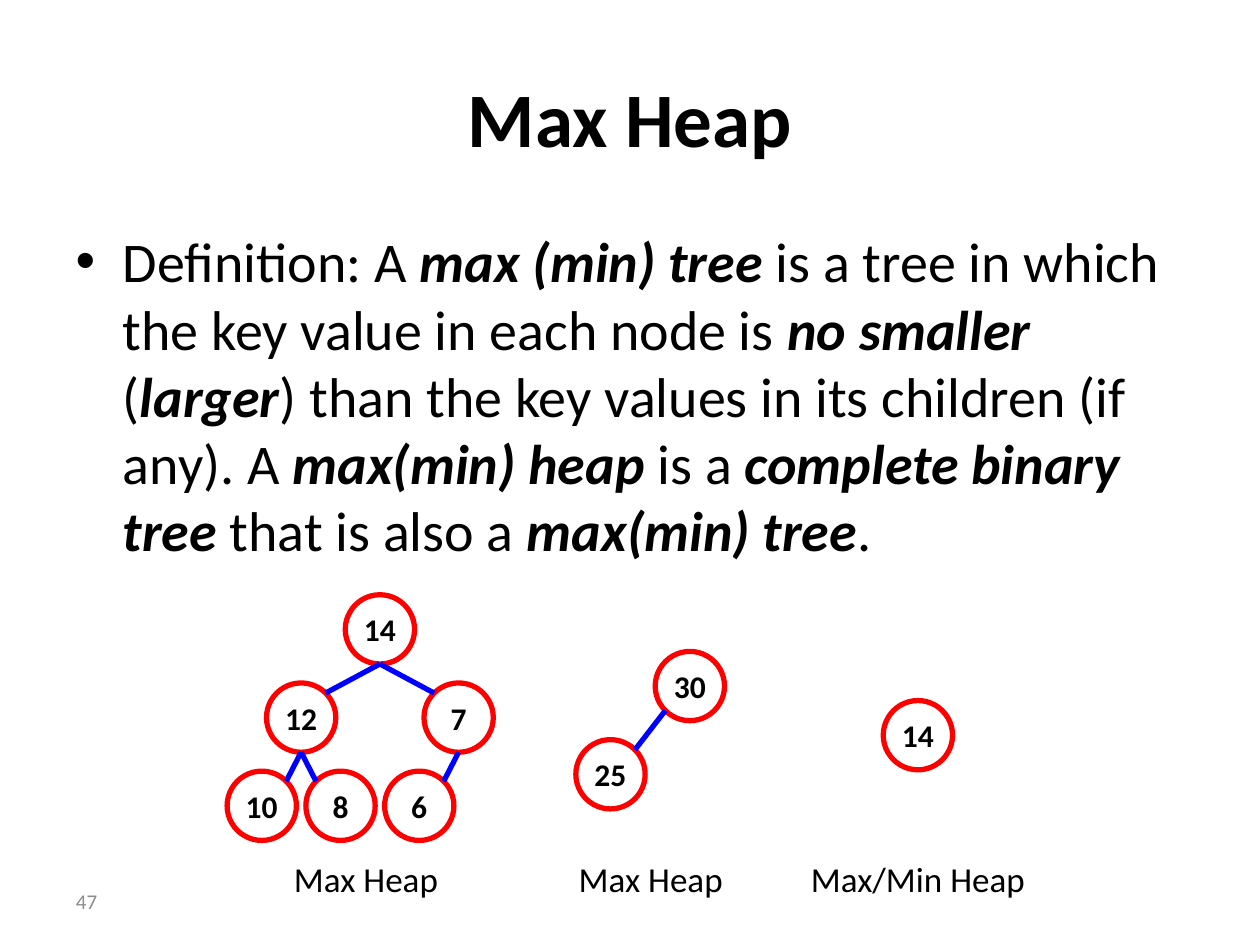
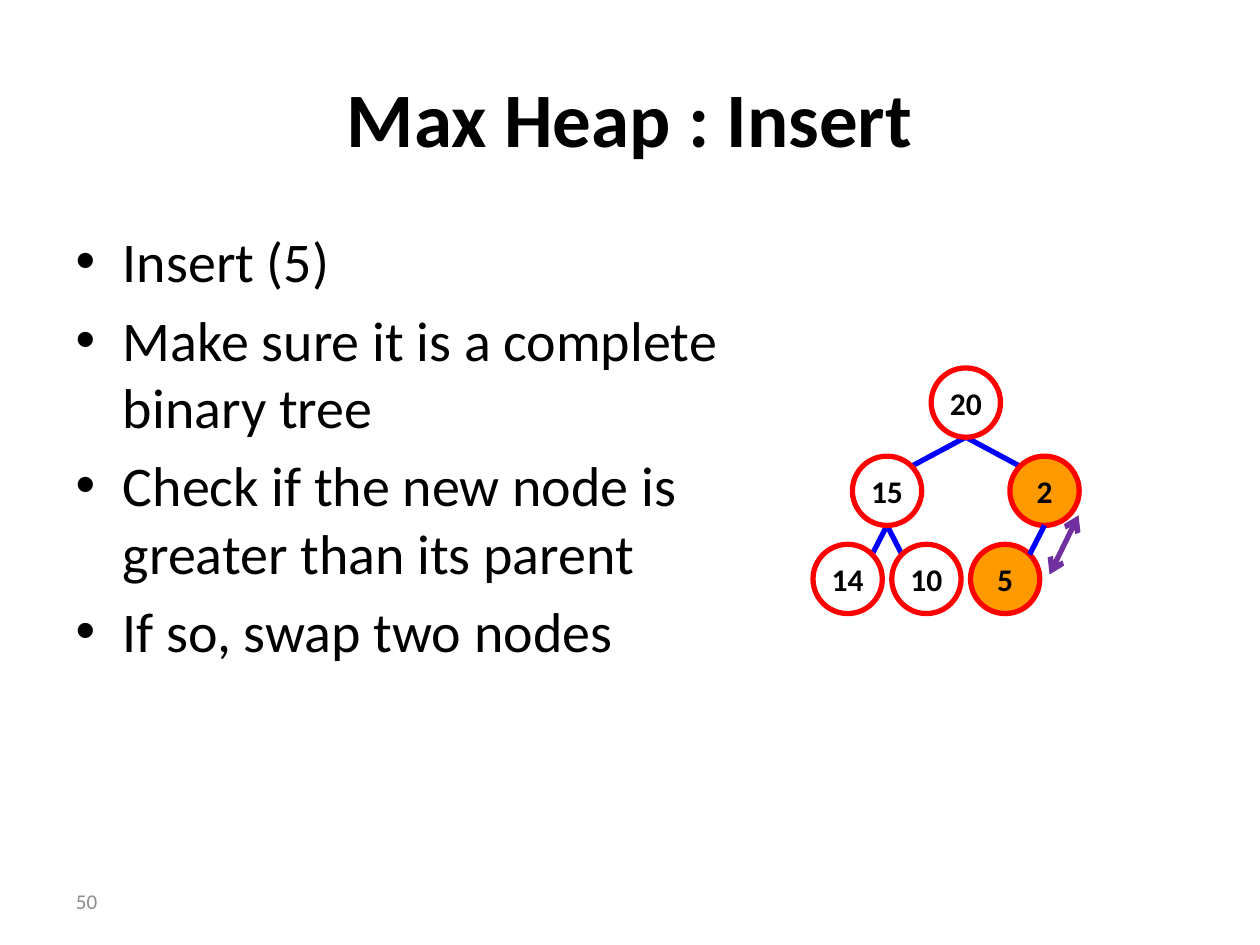
from lxml import etree
from pptx import Presentation, util as u
from pptx.dml.color import RGBColor
from pptx.enum import shapes, text
from pptx.oxml import ns

SCALE = 9144
FONT = "Calibri"
COLORS = {
    "text": "000000",
    "number": "8C8C8C",
    "ring": "FF0000",
    "edge": "0000FF",
    "highlight": "FF9900",
    "swap": "7030A0",
}
NODE_SIZE = 55
LEVEL_HEIGHT = 70
DIAGONAL = 0.707
TREE_SLOTS = [(0, 0), (-2, 1), (2, 1), (-3, 2), (-1, 2), (1, 2)]
TREE_EDGES = [(0, 1), (0, 2), (1, 3), (1, 4), (2, 5)]


def px(length):
    return u.Emu(round(length * SCALE))


def color(name):
    return RGBColor.from_string(COLORS[name])


def format_font(font, size, bold=False, italic=False, fill="text"):
    font.name = FONT
    font.size = u.Pt(size)
    font.bold = bold
    font.italic = italic
    font.color.rgb = color(fill)


def place(shape, left, top, width, height):
    shape.left, shape.top = px(left), px(top)
    shape.width, shape.height = px(width), px(height)


def add_label(slide, words, box, size, align, fill="text"):
    label = slide.shapes.add_textbox(*map(px, box))
    frame = label.text_frame
    frame.text = words
    frame.word_wrap = True
    frame.vertical_anchor = text.MSO_ANCHOR.MIDDLE
    paragraph = frame.paragraphs[0]
    paragraph.alignment = align
    format_font(paragraph.runs[0].font, size, fill=fill)


def add_slide(presentation, title, body_width, paragraphs, number):
    slide = presentation.slides.add_slide(presentation.slide_layouts[1])
    heading, body = slide.placeholders
    place(heading, 50, 30, 900, 125)
    heading.text_frame.text = title
    heading.text_frame.vertical_anchor = text.MSO_ANCHOR.MIDDLE
    format_font(heading.text_frame.paragraphs[0].runs[0].font, 44, bold=True)
    place(body, 50, 175, body_width, 495)
    fill_body(body.text_frame, paragraphs)
    add_label(slide, number, (10, 695, 77, 40), 12, text.PP_ALIGN.RIGHT, "number")
    return slide


def fill_body(frame, paragraphs):
    frame.auto_size = text.MSO_AUTO_SIZE.NONE
    for index, pieces in enumerate(paragraphs):
        paragraph = frame.add_paragraph() if index else frame.paragraphs[0]
        if index == 0:
            paragraph.space_before = u.Pt(0)
        for position, piece in enumerate(pieces):
            emphasised = position % 2 == 1
            run = paragraph.add_run()
            run.text = piece
            format_font(run.font, 32, emphasised, emphasised)


def add_node(slide, key, left, top, highlighted=False):
    box = map(px, (left, top, NODE_SIZE, NODE_SIZE))
    node = slide.shapes.add_shape(shapes.MSO_SHAPE.OVAL, *box)
    node.shadow.inherit = False
    if highlighted:
        node.fill.solid()
        node.fill.fore_color.rgb = color("highlight")
    else:
        node.fill.background()
    node.line.color.rgb = color("ring")
    node.line.width = u.Pt(3)
    frame = node.text_frame
    frame.text = key
    frame.word_wrap = False
    frame.margin_left = frame.margin_right = frame.margin_top = frame.margin_bottom = 0
    frame.vertical_anchor = text.MSO_ANCHOR.MIDDLE
    paragraph = frame.paragraphs[0]
    paragraph.alignment = text.PP_ALIGN.CENTER
    format_font(paragraph.runs[0].font, 18, bold=True)


def add_line(slide, start, end, fill="edge", arrows=False):
    ends = map(px, (*start, *end))
    line = slide.shapes.add_connector(shapes.MSO_CONNECTOR.STRAIGHT, *ends)
    line.line.color.rgb = color(fill)
    line.line.width = u.Pt(3)
    properties = line.element.spPr
    if arrows:
        outline = properties.find(ns.qn("a:ln"))
        for tag in ("a:headEnd", "a:tailEnd"):
            etree.SubElement(outline, ns.qn(tag), type="arrow")
    etree.SubElement(properties, ns.qn("a:effectLst"))


def rim_point(corner, horizontal, vertical):
    radius = NODE_SIZE / 2
    return (corner[0] + radius * (1 + horizontal), corner[1] + radius * (1 + vertical))


def tree_corners(root_left, root_top):
    return [(root_left + 125 * column / 4, root_top + LEVEL_HEIGHT * level)
            for column, level in TREE_SLOTS]


def add_tree_nodes(slide, corners, keys, highlighted=()):
    for key, corner in zip(keys, corners):
        add_node(slide, key, *corner, key in highlighted)


def add_tree_edges(slide, corners, edges):
    for parent, child in edges:
        side = DIAGONAL if corners[child][0] < corners[parent][0] else -DIAGONAL
        add_line(slide, rim_point(corners[child], side, -DIAGONAL),
                 rim_point(corners[parent], 0, 1))


def build_definition(presentation):
    definition = [
        "Definition: A ", "max (min) tree",
        " is a tree in which the key value in each node is ", "no smaller",
        " (", "larger", ") than the key values in its children (if any). A ",
        "max(min) heap ", "is a ", "complete binary tree ",
        "that is also a ", "max(min) tree", ".",
    ]
    slide = add_slide(presentation, "Max Heap", 900, [definition], "47")

    corners = tree_corners(274, 472)
    add_tree_nodes(slide, corners, ["14", "12", "7", "10", "8", "6"])
    add_tree_edges(slide, corners, TREE_EDGES)

    parent, child = (520, 517), (457, 587)
    add_node(slide, "30", *parent)
    add_node(slide, "25", *child)
    add_line(slide, rim_point(child, DIAGONAL, -DIAGONAL),
             rim_point(parent, -DIAGONAL, DIAGONAL))

    add_node(slide, "14", 701, 556)

    captions = [("Max Heap", 220, 141), ("Max Heap", 446, 141), ("Max/Min Heap", 626, 205)]
    for words, left, width in captions:
        add_label(slide, words, (left, 665, width, 64), 20, text.PP_ALIGN.CENTER)


def build_insert(presentation):
    steps = [
        ["Insert (5)"],
        ["Make sure it is a complete binary tree"],
        ["Check if the new node is greater than its parent"],
        ["If so, swap two nodes"],
    ]
    slide = add_slide(presentation, "Max Heap : Insert", 537, steps, "50")

    corners = tree_corners(739, 292)
    add_tree_edges(slide, corners, TREE_EDGES[:-1])
    add_tree_nodes(slide, corners, ["20", "15", "2", "14", "10", "5"], {"2", "5"})
    add_tree_edges(slide, corners, TREE_EDGES[-1:])
    add_line(slide, (833, 456), (856, 409), "swap", arrows=True)


def main():
    presentation = Presentation()
    presentation.slide_width, presentation.slide_height = px(1000), px(750)
    build_definition(presentation)
    build_insert(presentation)
    presentation.save("out.pptx")


if __name__ == "__main__":
    main()
